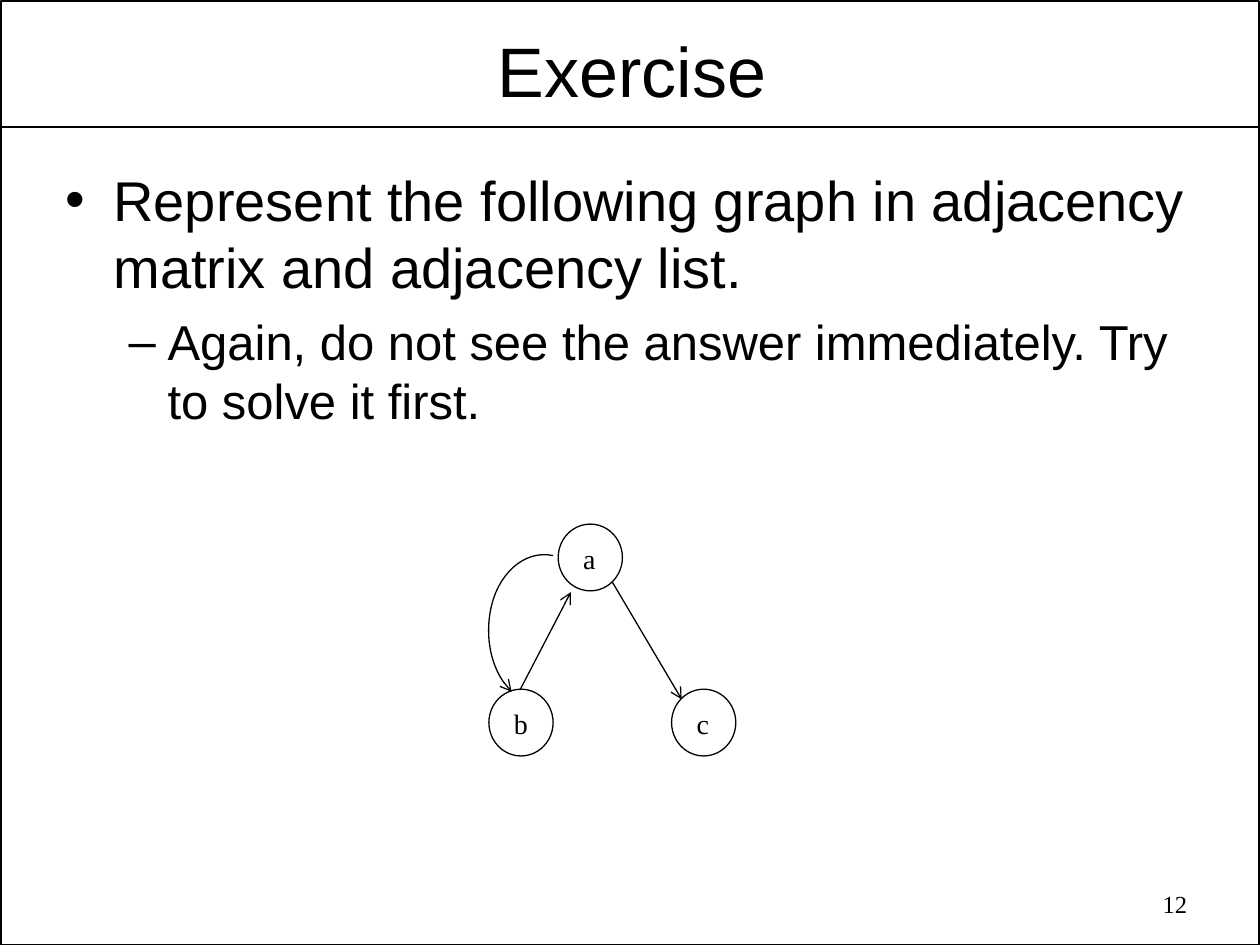
from dataclasses import dataclass

from pptx import Presentation
from pptx.dml.color import RGBColor
from pptx.enum.shapes import MSO_CONNECTOR, MSO_SHAPE
from pptx.enum.text import MSO_ANCHOR, MSO_AUTO_SIZE, PP_ALIGN
from pptx.oxml.ns import qn
from pptx.util import Inches, Pt
from lxml import etree

RECT, OVAL = MSO_SHAPE.RECTANGLE, MSO_SHAPE.OVAL
STRAIGHT = MSO_CONNECTOR.STRAIGHT
LEFT, CENTER, RIGHT = PP_ALIGN.LEFT, PP_ALIGN.CENTER, PP_ALIGN.RIGHT
TOP, MIDDLE = MSO_ANCHOR.TOP, MSO_ANCHOR.MIDDLE
NO_FIT = MSO_AUTO_SIZE.NONE


@dataclass(frozen=True)
class Theme:
    """Colours, fonts, type sizes and line widths."""
    ink: RGBColor = RGBColor(0, 0, 0)
    sans: str = "Arial"
    serif: str = "Times New Roman"
    title: int = 40
    bullets: tuple = (32, 28)
    label: int = 16
    number: int = 14
    frame: float = 1
    edge: float = 0.75


THEME = Theme()


def inches(*values):
    """Turn numbers into lengths."""
    return [Inches(v) for v in values]


def set_attrs(obj, values):
    """Set each named attribute on an object."""
    for name, value in values.items():
        setattr(obj, name, value)


def place(sp, box):
    """Move and size a shape to a box."""
    set_attrs(sp, dict(zip(("left", "top", "width", "height"), inches(*box))))


def write(p, text, font, size, align=LEFT):
    """Write one formatted run into a paragraph."""
    p.alignment = align
    r = p.add_run()
    r.text = text
    set_attrs(r.font, {"name": font, "size": Pt(size)})
    r.font.color.rgb = THEME.ink


def outline(sp, width, arrow=False):
    """Give a shape a plain line, with an optional arrowhead at its end."""
    sp.line.color.rgb = THEME.ink
    sp.line.width = Pt(width)
    if arrow:
        ln = sp.line._get_or_add_ln()
        etree.SubElement(ln, qn("a:tailEnd"), type="arrow")


def add_line(shapes, start, end, width, arrow=False):
    """Add a straight line between two points."""
    sp = shapes.add_connector(STRAIGHT, *inches(*start, *end))
    outline(sp, width, arrow)
    etree.SubElement(sp._element.spPr, qn("a:effectLst"))


def add_outline_shape(shapes, kind, box, width):
    """Add an unfilled preset shape."""
    sp = shapes.add_shape(kind, *inches(*box))
    sp.shadow.inherit = False
    sp.fill.background()
    outline(sp, width)


def add_label(shapes, box, text, size, align=LEFT, wrap=True):
    """Add a one-line serif text box."""
    tf = shapes.add_textbox(*inches(*box)).text_frame
    tf.word_wrap = wrap
    write(tf.paragraphs[0], text, THEME.serif, size, align)


def add_frame(slide, box, rule_y):
    """Draw the slide border and the rule under the title."""
    x, _, w, _ = box
    add_outline_shape(slide.shapes, RECT, box, THEME.frame)
    add_line(slide.shapes, (x, rule_y), (x + w, rule_y), THEME.frame)


def add_title(slide, box, text):
    """Fill the title placeholder."""
    sp = slide.shapes.title
    place(sp, box)
    tf = sp.text_frame
    set_attrs(tf, {"auto_size": NO_FIT, "vertical_anchor": MIDDLE, "word_wrap": True,
                   "margin_left": Inches(0.07), "margin_right": Inches(0.07),
                   "margin_top": Inches(0.03), "margin_bottom": Inches(0.03)})
    write(tf.paragraphs[0], text, THEME.sans, THEME.title, CENTER)


def add_bullets(slide, box, items):
    """Fill the body placeholder with one paragraph for each level."""
    sp = slide.placeholders[1]
    place(sp, box)
    tf = sp.text_frame
    set_attrs(tf, {"auto_size": NO_FIT, "vertical_anchor": TOP, "word_wrap": True})
    styles = (("•", 0.38, -0.38, 8), ("–", 0.81, -0.31, 7))
    for level, (text, style) in enumerate(zip(items, styles)):
        mark, margin, indent, before = style
        p = tf.add_paragraph() if level else tf.paragraphs[0]
        set_attrs(p, {"level": level, "space_before": Pt(before)})
        write(p, text, THEME.sans, THEME.bullets[level])
        pPr = p._p.get_or_add_pPr()
        pPr.set("marL", str(Inches(margin)))
        pPr.set("indent", str(Inches(indent)))
        etree.SubElement(pPr, qn("a:buChar"), char=mark)


def bezier(p0, p1, p2, p3, steps=16):
    """List the points along a cubic curve."""
    points = []
    for i in range(steps + 1):
        t = i / steps
        weights = ((1 - t) ** 3, 3 * t * (1 - t) ** 2, 3 * t * t * (1 - t), t ** 3)
        points.append(tuple(sum(w * c for w, c in zip(weights, axis))
                            for axis in zip(p0, p1, p2, p3)))
    return points


def add_curve(shapes, points):
    """Add an open curved arrow through the points."""
    start, *rest = (inches(*point) for point in points)
    builder = shapes.build_freeform(*start)
    builder.add_line_segments(rest, close=False)
    sp = builder.convert_to_shape()
    sp.shadow.inherit = False
    sp.fill.background()
    outline(sp, THEME.edge, arrow=True)


def add_graph(slide, box):
    """Draw the directed graph inside its box."""
    x, y, w, h = box
    node_w, node_h = 0.51, 0.53
    low = y + h - node_h
    nodes = {"a": (x + 0.55, y), "b": (x, low), "c": (x + w - node_w, low)}
    shapes = slide.shapes.add_group_shape().shapes
    for name, (nx, ny) in nodes.items():
        add_label(shapes, (nx + 0.1, ny + 0.09, 0.3, 0.37), name, THEME.label, wrap=False)
        add_outline_shape(shapes, OVAL, (nx, ny, node_w, node_h), THEME.edge)
    edges = (((0.25, 1.31), (0.65, 0.54)), ((0.98, 0.46), (1.53, 1.39)))
    for start, end in edges:
        add_line(shapes, *((x + dx, y + dy) for dx, dy in (start, end)), THEME.edge, True)
    upper = bezier((0.51, 0.25), (0.28, 0.2), (0.06, 0.4), (0.01, 0.7))
    lower = bezier((0.01, 0.7), (-0.03, 0.94), (0.03, 1.18), (0.18, 1.33))
    add_curve(shapes, [(x + dx, y + dy) for dx, dy in upper + lower[1:]])


def main():
    """Build and save the slide."""
    prs = Presentation()
    prs.slide_width, prs.slide_height = inches(10, 7.5)
    slide = prs.slides.add_slide(prs.slide_layouts[1])
    add_frame(slide, (0.01, 0.01, 9.98, 7.49), 1.01)
    add_title(slide, (0.53, 0.19, 8.97, 0.72), "Exercise")
    add_bullets(slide, (0.42, 1.26, 9.17, 2.33), (
        "Represent the following graph in adjacency matrix and adjacency list.",
        "Again, do not see the answer immediately. Try to solve it first."))
    add_label(slide.shapes, (7.18, 7.01, 2.34, 0.36), "12", THEME.number, RIGHT)
    add_graph(slide, (3.88, 4.16, 1.96, 1.84))
    prs.save("out.pptx")


if __name__ == "__main__":
    main()
